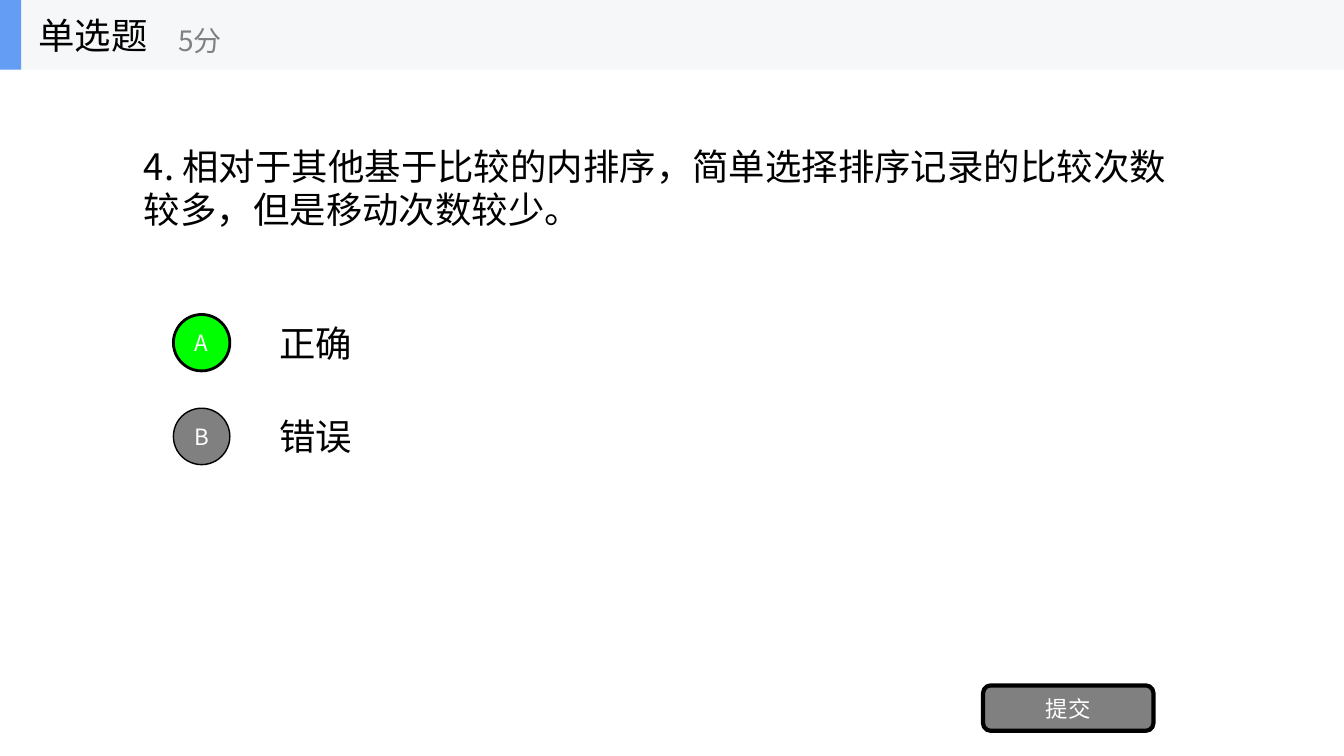
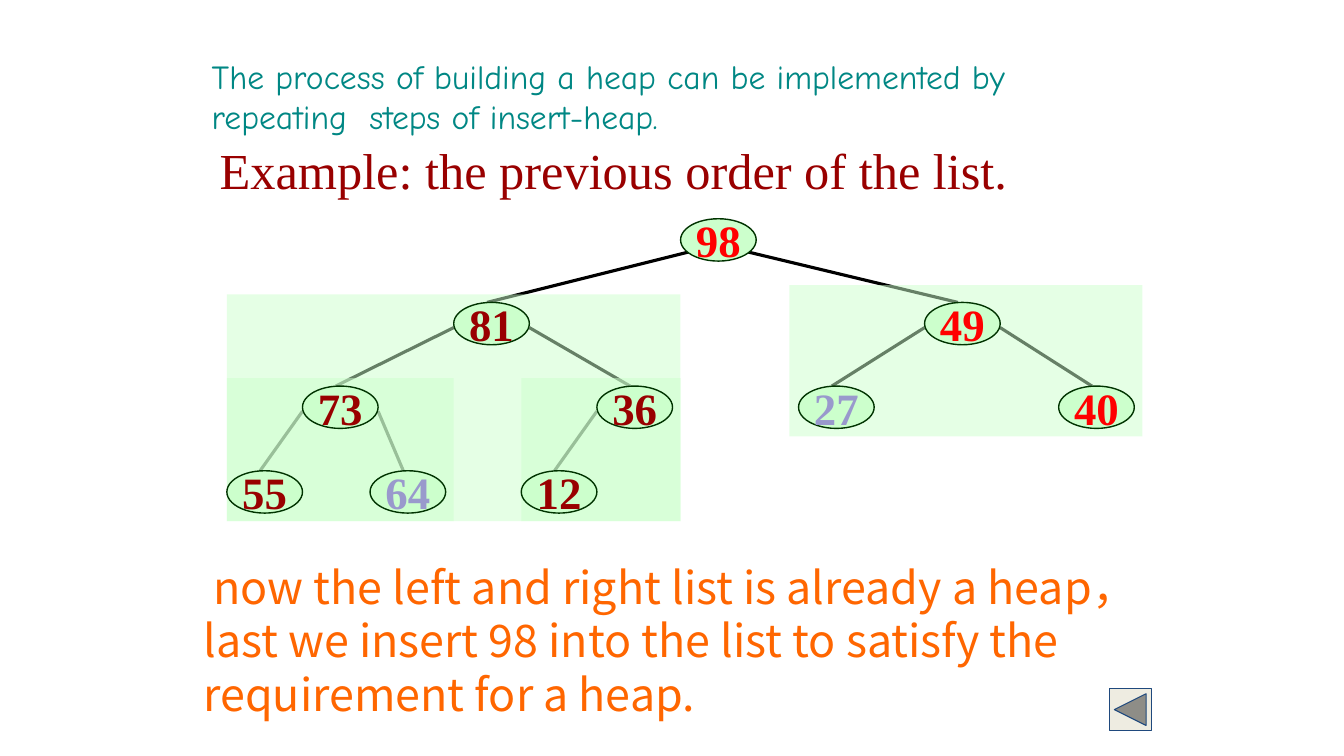
from lxml.etree import SubElement
from pptx import Presentation
from pptx.dml.color import RGBColor
from pptx.enum.shapes import MSO_CONNECTOR, MSO_SHAPE as SHAPE
from pptx.enum.text import MSO_ANCHOR as ANCHOR, PP_ALIGN as ALIGN
from pptx.oxml.ns import qn
from pptx.util import Inches, Pt

SANS, SERIF, COMIC = "Noto Sans CJK SC", "Times New Roman", "Comic Neue"
COLORS = {
    "black": "000000", "white": "FFFFFF", "gray": "808080", "band": "F6F7F8",
    "blue": "639EF4", "correct": "00FF00", "teal": "008784", "maroon": "990000",
    "orange": "FF6600", "mint": "CCFFCC", "forest": "003300", "red": "FF0000",
    "lilac": "9999CC", "button": "EEECE1", "navy": "1F497D",
}
NODE_W, NODE_H = 0.75, 0.42
# value: (left, top, text colour)
NODES = {
    98: (6.75, 2.17, "red"),
    81: (4.5, 3, "maroon"), 49: (9.17, 3, "red"),
    73: (3, 3.83, "maroon"), 36: (5.92, 3.83, "maroon"),
    27: (7.92, 3.83, "lilac"), 40: (10.5, 3.83, "red"),
    55: (2.25, 4.67, "maroon"), 64: (3.67, 4.67, "lilac"),
    12: (5.17, 4.67, "maroon"),
}
# parent: (left child, right child)
CHILDREN = {98: (81, 49), 81: (73, 36), 49: (27, 40), 73: (55, 64), 36: (12, None)}
SUBTREES = [(5.17, 3.75, 1.58, 1.42), (2.25, 3.75, 2.25, 1.42),
            (7.83, 2.83, 3.5, 1.5), (2.25, 2.92, 4.5, 2.25)]


def rgb(name):
    return RGBColor.from_string(COLORS[name])


def write(s, text, size, color, font=SANS, align=ALIGN.LEFT,
          anchor=ANCHOR.MIDDLE, wrap=True, bold=False):
    tf = s.text_frame
    tf.word_wrap = wrap
    tf.vertical_anchor = anchor
    p = tf.paragraphs[0]
    p.text = text
    p.alignment = align
    f = p.font
    f.size, f.name, f.bold = Pt(size), font, bold
    f.color.rgb = rgb(color)
    SubElement(p._p.pPr.find(qn("a:defRPr")), qn("a:ea"), typeface=font)
    return p


def add_text(slide, box, text, size, color, **style):
    s = slide.shapes.add_textbox(*map(Inches, box))
    return write(s, text, size, color, **style)


def set_title(slide, box, text, size, color, **style):
    s = slide.shapes.title
    s.left, s.top, s.width, s.height = map(Inches, box)
    write(s, text, size, color, **style)
    return s


def add_shape(slide, kind, box, fill, line=None, width=1, alpha=None):
    s = slide.shapes.add_shape(kind, *map(Inches, box))
    s.shadow.inherit = False
    s.fill.solid()
    s.fill.fore_color.rgb = rgb(fill)
    if alpha is not None:
        clr = s._element.spPr.find(qn("a:solidFill")).find(qn("a:srgbClr"))
        SubElement(clr, qn("a:alpha"), val=str(alpha * 1000))
    if line:
        s.line.color.rgb = rgb(line)
        s.line.width = Pt(width)
    else:
        s.line.fill.background()
    return s


def add_edge(slide, x1, y1, x2, y2):
    s = slide.shapes.add_connector(MSO_CONNECTOR.STRAIGHT,
                                   *map(Inches, (x1, y1, x2, y2)))
    s.line.color.rgb = rgb("black")
    s.line.width = Pt(2.25)
    SubElement(s._element.spPr, qn("a:effectLst"))


def add_header(slide, kind, points, width=13.33, height=0.69):
    add_shape(slide, SHAPE.RECTANGLE, (0, 0, width, height), "band")
    add_shape(slide, SHAPE.RECTANGLE, (0, 0, 0.21, height), "blue")
    title = set_title(slide, (0.28, 0, 2.08, height), kind, 26, "black")
    slide.shapes._spTree.append(title._element)  # in front of the band
    add_text(slide, (1.67, 0.12, 2.5, 0.56), points, 20, "gray")


def add_option(slide, top, letter, answer, correct):
    add_text(slide, (2.67, top, 9.33, 0.7), answer, 26, "black")
    s = add_shape(slide, SHAPE.OVAL, (1.72, top + 0.07, 0.56, 0.56),
                  "correct" if correct else "gray", "black", 2 if correct else 1)
    write(s, letter, 16, "white", align=ALIGN.CENTER)


def quiz_slide(slide, question, options):
    add_header(slide, "单选题", "5分")
    add_text(slide, (1.33, 0.69, 10.67, 2.34), question, 26, "black")
    for i, (answer, correct) in enumerate(options):
        add_option(slide, 3.05 + 0.93 * i, "ABCD"[i], answer, correct)
    s = add_shape(slide, SHAPE.ROUNDED_RECTANGLE, (9.75, 6.8, 1.69, 0.45),
                  "gray", "black", 3)
    write(s, "提交", 16, "white", align=ALIGN.CENTER)


def add_heap(slide):
    for parent, children in CHILDREN.items():
        x, y, _ = NODES[parent]
        inset, drop = (0.08, 0.33) if parent == 98 else (0, 0.25)
        for child, start in zip(children, (x + inset, x + NODE_W - inset)):
            if child:
                left, top, _ = NODES[child]
                add_edge(slide, start, y + drop, left + 0.33, top)
    for box in SUBTREES:
        add_shape(slide, SHAPE.RECTANGLE, box, "mint", alpha=50)
    for value, (x, y, color) in NODES.items():
        s = add_shape(slide, SHAPE.OVAL, (x, y, NODE_W, NODE_H), "mint", "forest")
        write(s, str(value), 32, color, font=SERIF, align=ALIGN.CENTER,
              wrap=False, bold=True)


def heap_slide(slide):
    set_title(slide, (2, 0.5, 9.25, 0.91),
              "The process of building a heap can be implemented by "
              "repeating  steps of insert-heap.",
              24, "teal", font=COMIC, anchor=ANCHOR.TOP)
    add_text(slide, (2.08, 1.33, 8.5, 0.7), "Example: the previous order of the list.",
             36, "maroon", font=SERIF, anchor=ANCHOR.TOP)
    add_heap(slide)
    p = add_text(slide, (1.92, 5.5, 9.6, 1.72),
                 "now the left and right list is already a heap，last we insert 98 "
                 "into the list to satisfy the requirement for a heap.",
                 32, "orange", anchor=ANCHOR.TOP)
    p._p.pPr.set("indent", str(Inches(0.1)))
    add_shape(slide, SHAPE.ACTION_BUTTON_BACK_OR_PREVIOUS, (11, 6.83, 0.42, 0.42),
              "button", "navy", 0.75)


def main():
    prs = Presentation()
    prs.slide_width, prs.slide_height = Inches(13.33), Inches(7.5)
    title_only = prs.slide_layouts[5]
    quiz_slide(prs.slides.add_slide(title_only),
               "4. 相对于其他基于比较的内排序，简单选择排序记录的比较次数较多，但是移动次数较少。",
               [("正确", True), ("错误", False)])
    heap_slide(prs.slides.add_slide(title_only))
    prs.save("out.pptx")


if __name__ == "__main__":
    main()
